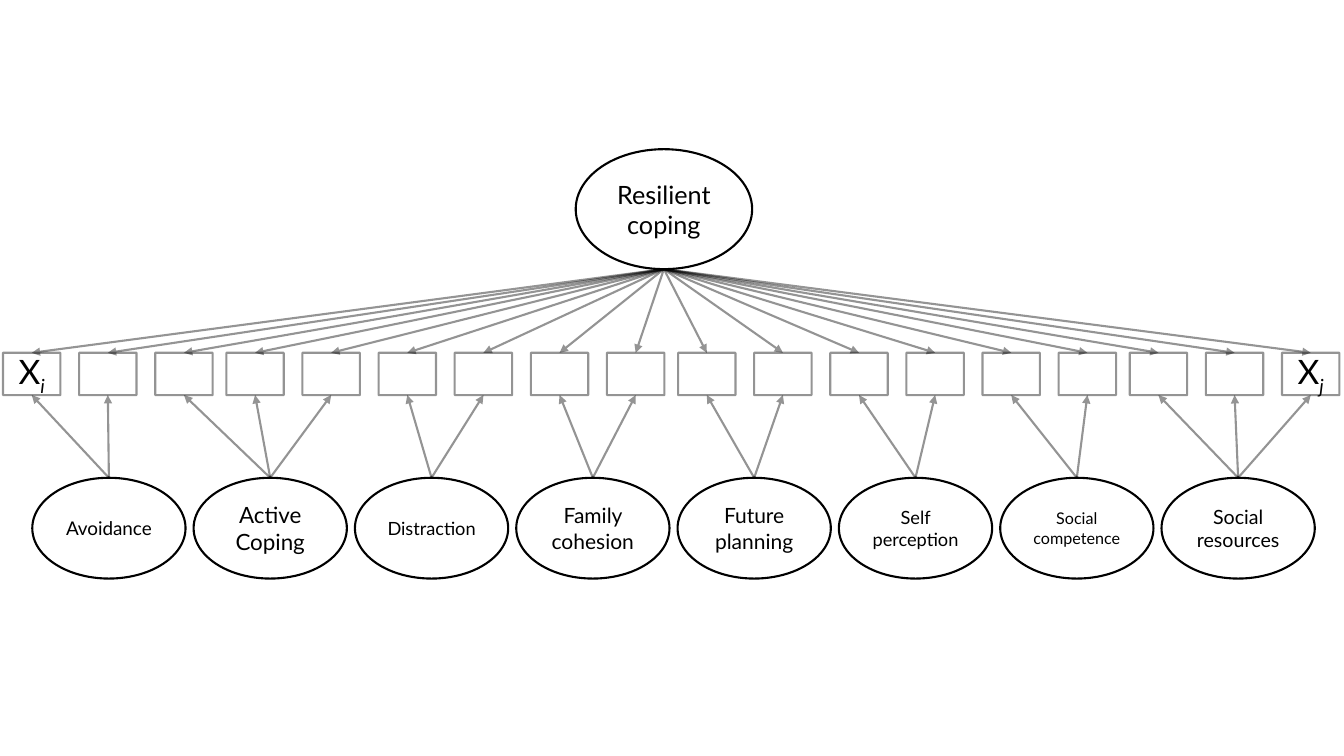
from dataclasses import dataclass

from lxml import etree
from pptx import Presentation
from pptx.dml.color import RGBColor
from pptx.enum.shapes import MSO_CONNECTOR, MSO_SHAPE
from pptx.enum.text import MSO_ANCHOR, PP_ALIGN
from pptx.oxml.ns import qn
from pptx.util import Inches, Pt

ELLIPSE = MSO_SHAPE.OVAL
RECTANGLE = MSO_SHAPE.RECTANGLE
STRAIGHT = MSO_CONNECTOR.STRAIGHT
MIDDLE = MSO_ANCHOR.MIDDLE
CENTER = PP_ALIGN.CENTER


@dataclass(frozen=True)
class Theme:
    font: str = "Lato"
    ink: RGBColor = RGBColor(0, 0, 0)
    line_width: float = 1.5
    faint_opacity: int = 42
    general_size: float = 18
    item_size: float = 24
    subscript_shift: int = -25
    text_inset: float = 0.05


@dataclass(frozen=True)
class Box:
    left: float
    top: float
    width: float
    height: float

    @property
    def center(self):
        return self.left + self.width / 2

    @property
    def top_point(self):
        return self.center, self.top

    @property
    def bottom_point(self):
        return self.center, self.top + self.height


THEME = Theme()

GENERAL_BOX = Box(5.71, 1.48, 1.75, 1.19)
FIRST_ITEM = Box(0.03, 3.5, 0.57, 0.42)
FIRST_FACTOR = Box(0.32, 4.74, 1.52, 1)

# Items sit in blocks of six; the step between two blocks is a little shorter
BLOCK_SIZE = 6
BLOCK_PITCH = 4.48
BLOCK_OVERLAP = 0.05
ITEM_PITCH = (BLOCK_PITCH + BLOCK_OVERLAP) / BLOCK_SIZE
FACTOR_PITCH = 1.6

# Name, type size and number of items of each specific factor
FACTORS = [
    ("Avoidance", 13.5, 2),
    ("Active Coping", 16, 3),
    ("Distraction", 13, 2),
    ("Family cohesion", 15, 2),
    ("Future planning", 15, 2),
    ("Self perception", 13, 2),
    ("Social competence", 11.5, 2),
    ("Social resources", 14, 3),
]
ITEM_COUNT = sum(count for _, _, count in FACTORS)
ITEM_SUBSCRIPTS = {0: "i", ITEM_COUNT - 1: "j"}


def add_text(shape, text, size, italic=False, baseline=None):
    """Append a formatted run to the centred paragraph of a shape."""
    paragraph = shape.text_frame.paragraphs[0]
    paragraph.alignment = CENTER
    run = paragraph.add_run()
    run.text = text
    run.font.name = THEME.font
    run.font.size = Pt(size)
    run.font.italic = italic
    run.font.color.rgb = THEME.ink
    if baseline is not None:
        run._r.get_or_add_rPr().set("baseline", str(baseline * 1000))


def style_line(shape, faint=False):
    """Give an outline or connector its line; return the line element."""
    shape.line.width = Pt(THEME.line_width)
    shape.line.fill.solid()
    shape.line.fill.fore_color.rgb = THEME.ink
    line = shape._element.spPr.find(qn("a:ln"))
    if faint:
        color = line.find(".//" + qn("a:srgbClr"))
        alpha = etree.SubElement(color, qn("a:alpha"))
        alpha.set("val", str(THEME.faint_opacity * 1000))
    return line


def add_outline(slide, kind, box, faint=False):
    shape = slide.shapes.add_shape(
        kind, Inches(box.left), Inches(box.top), Inches(box.width), Inches(box.height)
    )
    shape.shadow.inherit = False
    shape.fill.background()
    style_line(shape, faint)
    frame = shape.text_frame
    frame.word_wrap = True
    frame.vertical_anchor = MIDDLE
    frame.margin_left = frame.margin_right = Inches(THEME.text_inset)
    frame.margin_top = frame.margin_bottom = Inches(THEME.text_inset)
    return shape


def add_factor(slide, box, name, size):
    add_text(add_outline(slide, ELLIPSE, box), name, size)


def add_item(slide, box, subscript=None):
    shape = add_outline(slide, RECTANGLE, box, faint=True)
    if subscript:
        add_text(shape, "X", THEME.item_size)
        add_text(shape, subscript, THEME.item_size, italic=True,
                 baseline=THEME.subscript_shift)


def add_arrow(slide, start, end):
    connector = slide.shapes.add_connector(
        STRAIGHT, *(Inches(value) for value in (*start, *end))
    )
    line = style_line(connector, faint=True)
    etree.SubElement(line, qn("a:tailEnd")).set("type", "triangle")
    etree.SubElement(connector._element.spPr, qn("a:effectLst"))


def add_factor_row(slide, first):
    """Place the specific factors in a row and return their boxes."""
    boxes = []
    for index, (name, size, _) in enumerate(FACTORS):
        box = Box(first.left + index * FACTOR_PITCH, first.top, first.width, first.height)
        add_factor(slide, box, name, size)
        boxes.append(box)
    return boxes


def add_item_row(slide, first):
    """Place the observed items in a row and return their boxes."""
    boxes = []
    for index in range(ITEM_COUNT):
        blocks_passed = (index + BLOCK_SIZE // 2) // BLOCK_SIZE
        left = first.left + index * ITEM_PITCH - blocks_passed * BLOCK_OVERLAP
        box = Box(left, first.top, first.width, first.height)
        add_item(slide, box, ITEM_SUBSCRIPTS.get(index))
        boxes.append(box)
    return boxes


def add_loadings(slide, general, items, factors):
    """Draw the arrows from the general and specific factors to the items."""
    for item in items:
        add_arrow(slide, general.bottom_point, item.top_point)
    remaining = iter(items)
    for factor, (_, _, count) in zip(factors, FACTORS):
        for _ in range(count):
            add_arrow(slide, factor.top_point, next(remaining).bottom_point)


def build_model_slide(presentation):
    slide = presentation.slides.add_slide(presentation.slide_layouts[6])
    factors = add_factor_row(slide, FIRST_FACTOR)
    items = add_item_row(slide, FIRST_ITEM)
    add_factor(slide, GENERAL_BOX, "Resilient coping", THEME.general_size)
    add_loadings(slide, GENERAL_BOX, items, factors)


def main():
    presentation = Presentation()
    presentation.slide_width = Inches(13.33)
    presentation.slide_height = Inches(7.5)
    build_model_slide(presentation)
    presentation.save("out.pptx")


if __name__ == "__main__":
    main()
